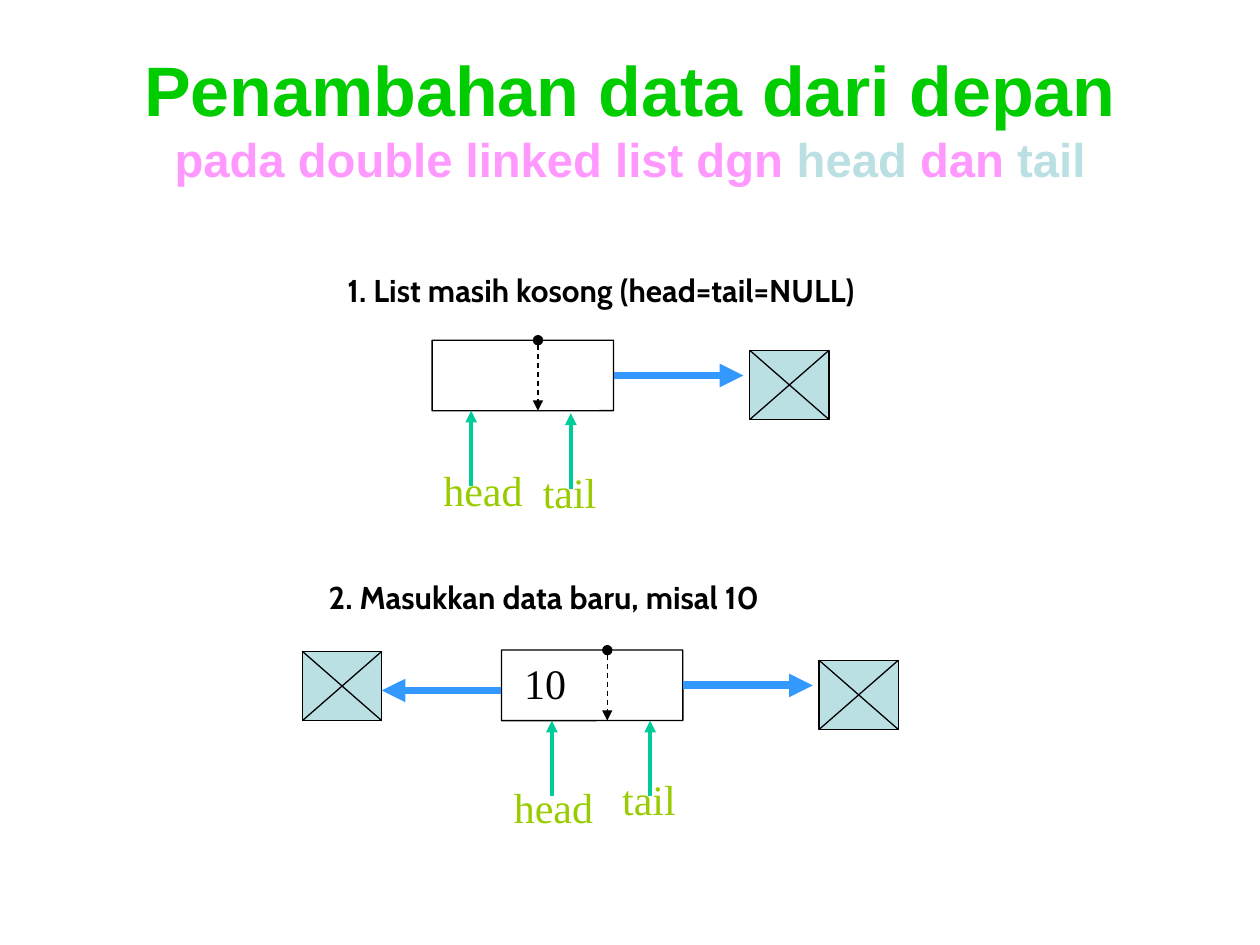
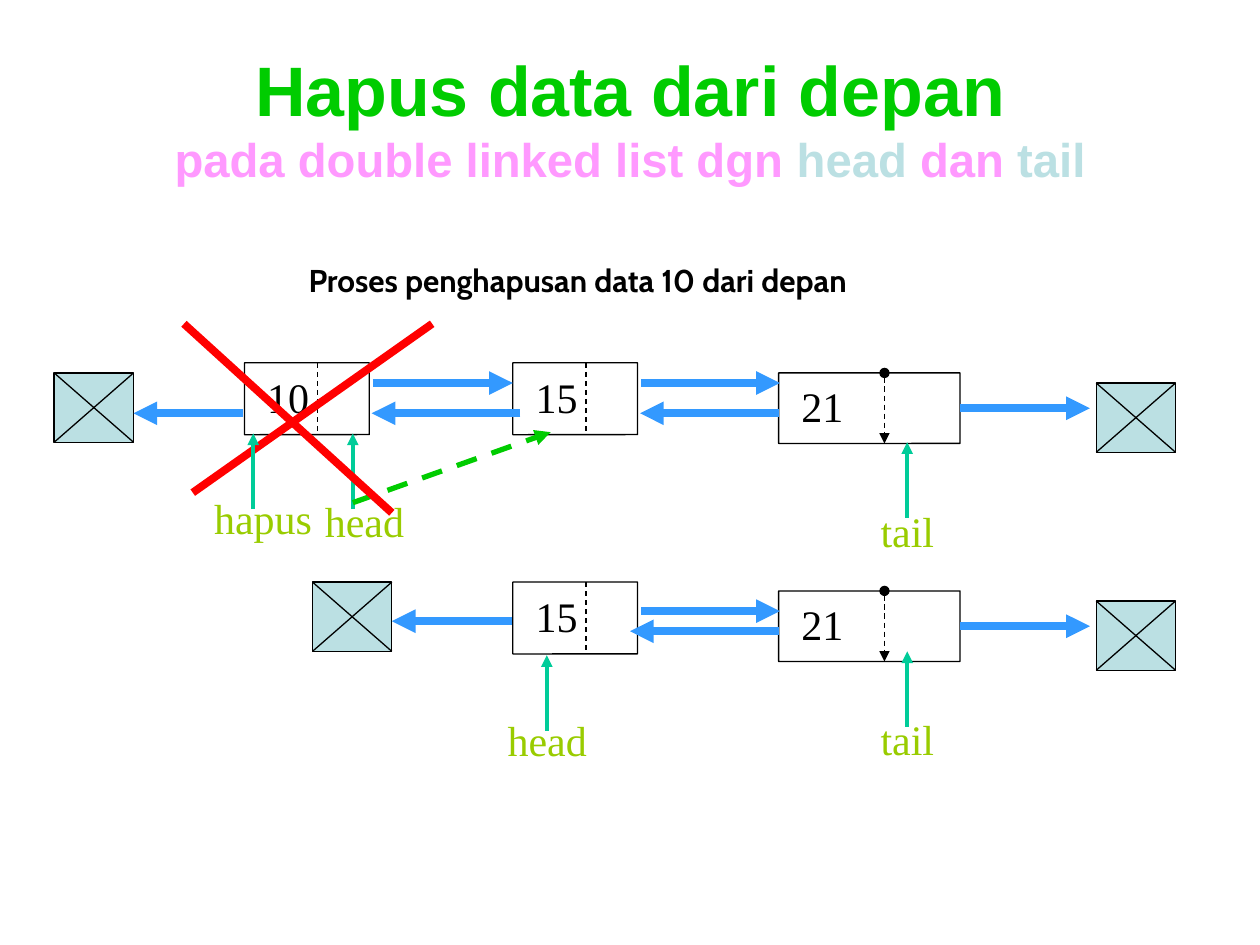
from lxml.etree import SubElement
from pptx import Presentation
from pptx.dml.color import RGBColor
from pptx.enum.dml import MSO_LINE
from pptx.enum.shapes import MSO_CONNECTOR, MSO_SHAPE
from pptx.enum.text import MSO_ANCHOR, MSO_AUTO_SIZE, PP_ALIGN
from pptx.oxml.ns import qn
from pptx.util import Emu, Pt

PX = 9144  # EMU per px, 100 px to the inch

BLACK = RGBColor(0x00, 0x00, 0x00)
WHITE = RGBColor(0xFF, 0xFF, 0xFF)
GREEN = RGBColor(0x00, 0xCC, 0x00)
PINK = RGBColor(0xFF, 0x99, 0xFF)
PALE_BLUE = RGBColor(0xBB, 0xE0, 0xE3)
LIME = RGBColor(0x99, 0xCC, 0x00)
TEAL = RGBColor(0x00, 0xCC, 0x99)
BLUE = RGBColor(0x33, 0x99, 0xFF)
RED = RGBColor(0xFF, 0x00, 0x00)

# Text styles
HEADING = {"name": "Arial", "size": Pt(40), "bold": True}
SUBHEADING = {"name": "Arial", "size": Pt(27), "bold": True}
CAPTION = {"name": "Cabin", "size": Pt(18), "bold": True}
SERIF = {"name": "Times New Roman", "size": Pt(24), "bold": False}

# Line styles
THIN = {"color": BLACK, "width": 0.75}
DIVIDER = {**THIN, "dash": True}
END_DIVIDER = {**DIVIDER, "head": "oval", "tail": "triangle"}
LINK = {"color": BLUE, "width": 4.5, "tail": "triangle"}
POINTER = {"color": TEAL, "width": 2.25, "tail": "triangle"}
MOVED_POINTER = {"color": GREEN, "width": 3, "dash": True, "tail": "triangle"}
STRIKE = {"color": RED, "width": 4.5}

SUBTITLE = [("pada double linked list dgn ", PINK), ("head", PALE_BLUE),
            (" dan", PINK), (" tail", PALE_BLUE)]
LABEL_WIDTHS = {"head": 84, "tail": 64, "hapus": 99}
INNER_SIZE, INNER_SPLIT = (99, 57), 58
END_SIZE, END_SPLIT = (144, 56), 84
NULL_SIZE = (63, 55)


def px(*lengths):
    return [Emu(length * PX) for length in lengths]


def apply(target, formats):
    for name, value in formats.items():
        setattr(target, name, value)


def add_run(paragraph, text, style, color):
    run = paragraph.add_run()
    run.text = text
    apply(run.font, style)
    run.font.color.rgb = color


def add_title(slide, heading):
    title = slide.shapes.title
    apply(title, dict(zip(("left", "top", "width", "height"), px(50, 30, 900, 125))))
    apply(title.text_frame, {"vertical_anchor": MSO_ANCHOR.MIDDLE,
                             "auto_size": MSO_AUTO_SIZE.NONE, "word_wrap": True})
    paragraph = title.text_frame.paragraphs[0]
    paragraph.alignment = PP_ALIGN.CENTER
    add_run(paragraph, heading, HEADING, GREEN)
    paragraph.add_line_break()
    line_break = paragraph._p.find(qn("a:br"))
    SubElement(line_break, qn("a:rPr"), sz="4000")
    for text, color in SUBTITLE:
        add_run(paragraph, text, SUBHEADING, color)


def add_text(slide, text, box, style, color, spacing=None):
    frame = slide.shapes.add_textbox(*px(*box)).text_frame
    apply(frame, {"word_wrap": False, "auto_size": MSO_AUTO_SIZE.SHAPE_TO_FIT_TEXT})
    paragraph = frame.paragraphs[0]
    paragraph.line_spacing = spacing
    add_run(paragraph, text, style, color)


def add_caption(slide, text, x, y, width):
    add_text(slide, text, (x, y, width, 40), CAPTION, BLACK)


def add_line(slide, start, end, style):
    connector = slide.shapes.add_connector(MSO_CONNECTOR.STRAIGHT, *px(*start, *end))
    connector.line.color.rgb = style["color"]
    connector.line.width = Pt(style["width"])
    if style.get("dash"):
        connector.line.dash_style = MSO_LINE.DASH
    outline = connector.line._get_or_add_ln()
    for end_name in ("head", "tail"):
        if end_name in style:
            SubElement(outline, qn(f"a:{end_name}End"), type=style[end_name])
    SubElement(connector._element.spPr, qn("a:effectLst"))
    return connector


def add_box(slide, preset, x, y, size, fill):
    box = slide.shapes.add_shape(preset, *px(x, y, *size))
    box.shadow.inherit = False
    box.fill.solid()
    box.fill.fore_color.rgb = fill
    box.line.color.rgb = THIN["color"]
    box.line.width = Pt(THIN["width"])
    return box


def add_null(slide, x, y):
    """A crossed box that stands for NULL."""
    width, height = NULL_SIZE
    add_box(slide, MSO_SHAPE.RECTANGLE, x, y, NULL_SIZE, PALE_BLUE)
    add_line(slide, (x, y), (x + width, y + height), THIN)
    add_line(slide, (x + width, y), (x, y + height), THIN)


def add_node(slide, x, y, value, size=INNER_SIZE, split=INNER_SPLIT, divider=DIVIDER):
    node = add_box(slide, MSO_SHAPE.ROUNDED_RECTANGLE, x, y, size, WHITE)
    node.adjustments[0] = 0.003
    if value:
        frame = node.text_frame
        apply(frame, {"margin_left": px(18)[0], "word_wrap": True,
                      "vertical_anchor": MSO_ANCHOR.MIDDLE})
        paragraph = frame.paragraphs[0]
        apply(paragraph, {"alignment": PP_ALIGN.LEFT, "line_spacing": 0.95})
        add_run(paragraph, value, SERIF, BLACK)
    add_line(slide, (x + split, y), (x + split, y + size[1]), divider)
    return node


def add_end_node(slide, x, y, value=None):
    """The last node of a list, with its link to NULL."""
    node = add_node(slide, x, y, value, END_SIZE, END_SPLIT, END_DIVIDER)
    middle = y + END_SIZE[1] // 2
    link = add_line(slide, (x + END_SIZE[0], middle), (x + 247, middle), LINK)
    link.begin_connect(node, 3)
    add_null(slide, x + 252, y + 8)


def add_link(slide, start_x, end_x, y):
    add_line(slide, (start_x, y), (end_x, y), LINK)


def add_pointer(slide, label, label_at, tip):
    tip_x, tip_y = tip
    add_line(slide, (tip_x, tip_y + 60), tip, POINTER)
    add_text(slide, label, (*label_at, LABEL_WIDTHS[label], 48), SERIF, LIME, 0.95)


def build_insert_slide(slide):
    add_title(slide, "Penambahan data dari depan")

    # Step 1: empty list
    add_caption(slide, "1. List masih kosong (head=tail=NULL)", 266, 210, 496)
    add_end_node(slide, 343, 270)
    add_pointer(slide, "head", (342, 367), (374, 326))
    add_pointer(slide, "tail", (421, 368), (453, 328))

    # Step 2: first value
    add_caption(slide, "2. Masukkan data baru, misal 10", 251, 454, 429)
    add_end_node(slide, 398, 516, "10")
    add_null(slide, 240, 517)
    add_link(slide, 398, 303, 548)
    add_pointer(slide, "head", (398, 618), (438, 572))
    add_pointer(slide, "tail", (484, 612), (516, 572))


def build_delete_slide(slide):
    add_title(slide, "Hapus data dari depan")
    add_caption(slide, "Proses penghapusan data 10 dari depan", 235, 202, 518)

    # List before the deletion
    add_null(slide, 43, 296)
    add_node(slide, 194, 288, "10")
    add_node(slide, 407, 288, "15")
    add_end_node(slide, 618, 296, "21")
    for start_x, end_x in ((296, 407), (509, 619)):
        add_link(slide, start_x, end_x, 304)
    for start_x, end_x in ((193, 106), (413, 295), (618, 508)):
        add_link(slide, start_x, end_x, 328)
    add_pointer(slide, "head", (248, 391), (280, 344))

    # Head moves on and the first node is struck out
    add_line(slide, (280, 399), (437, 343), MOVED_POINTER)
    add_line(slide, (146, 257), (311, 407), STRIKE)
    add_line(slide, (343, 257), (153, 391), STRIKE)
    add_pointer(slide, "hapus", (160, 389), (201, 344))
    add_pointer(slide, "tail", (689, 399), (720, 351))

    # List after the deletion
    add_null(slide, 248, 462)
    add_node(slide, 407, 462, "15")
    add_end_node(slide, 618, 469, "21")
    for start_x, end_x, y in ((406, 311, 493), (509, 619, 485), (618, 500, 501)):
        add_link(slide, start_x, end_x, y)
    add_pointer(slide, "head", (393, 565), (434, 520))
    add_pointer(slide, "tail", (689, 564), (720, 517))


def main():
    deck = Presentation()
    deck.slide_width, deck.slide_height = px(1000, 750)
    title_only = deck.slide_layouts[5]
    for build in (build_insert_slide, build_delete_slide):
        build(deck.slides.add_slide(title_only))
    deck.save("out.pptx")


if __name__ == "__main__":
    main()
